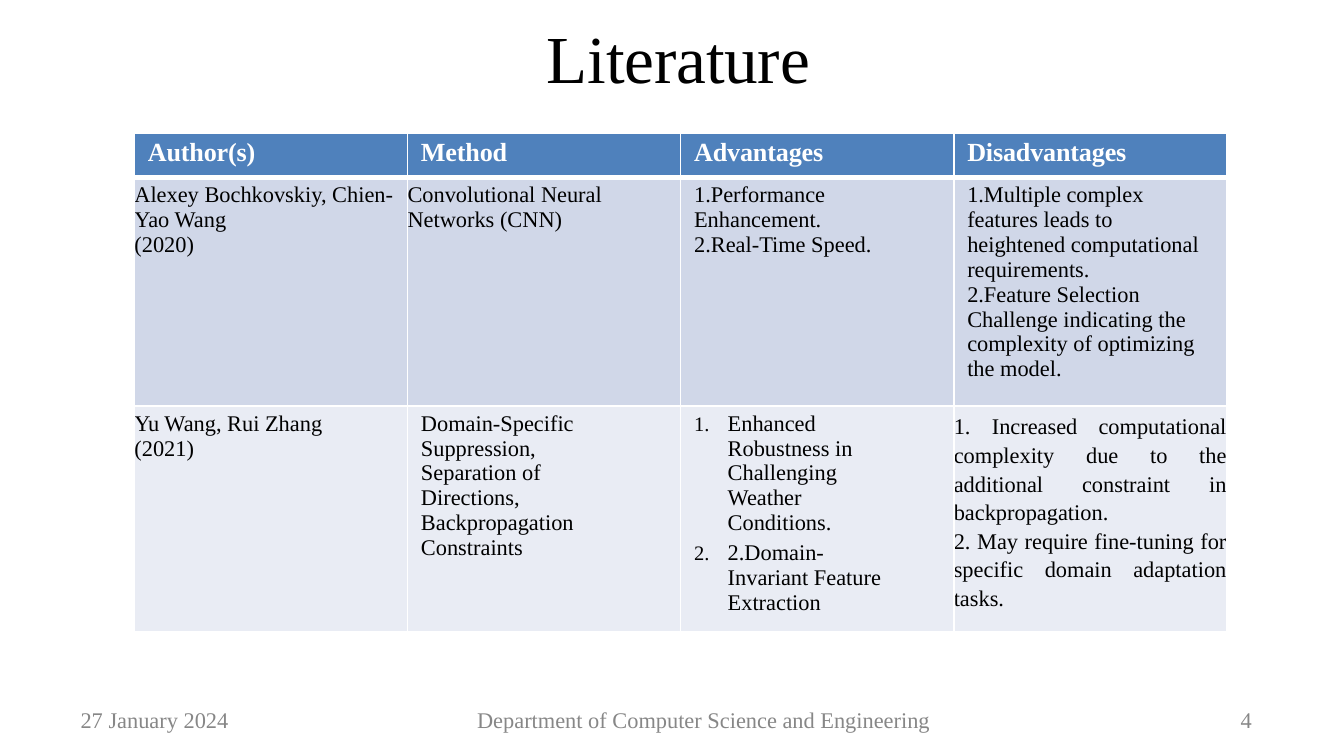
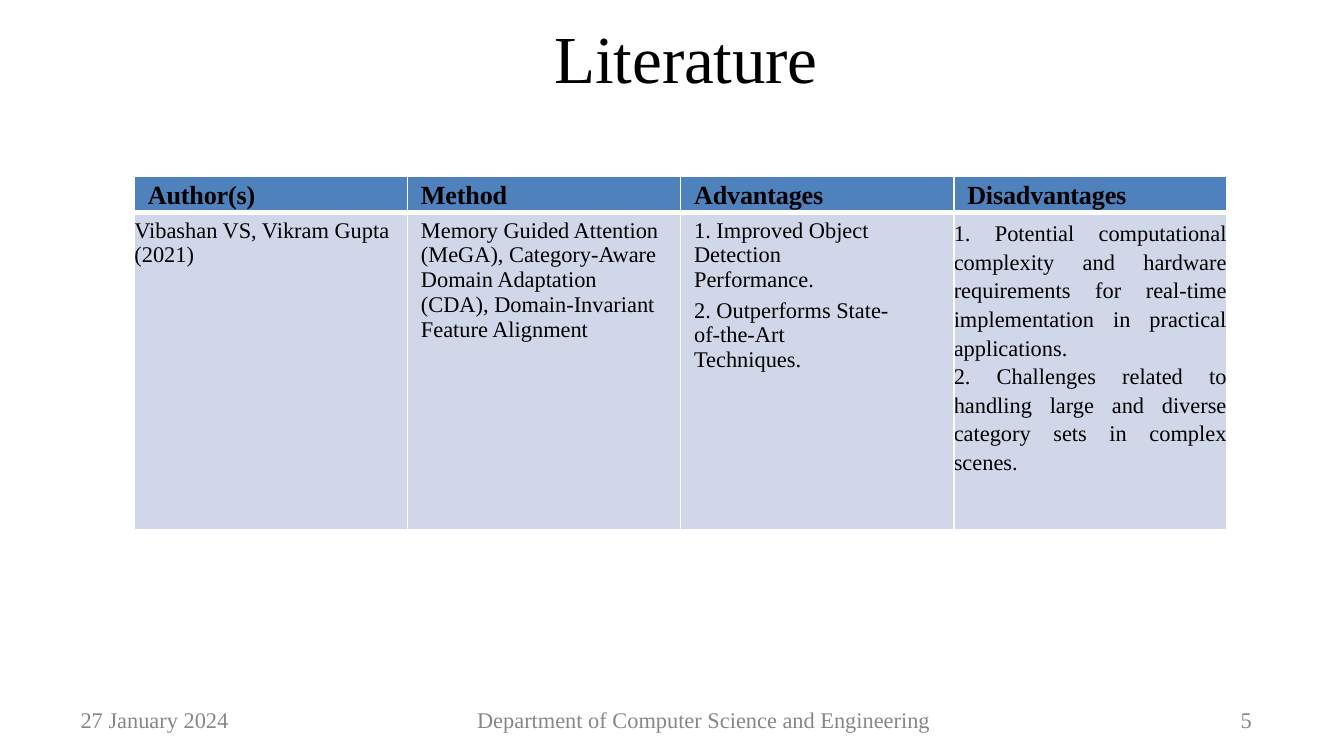
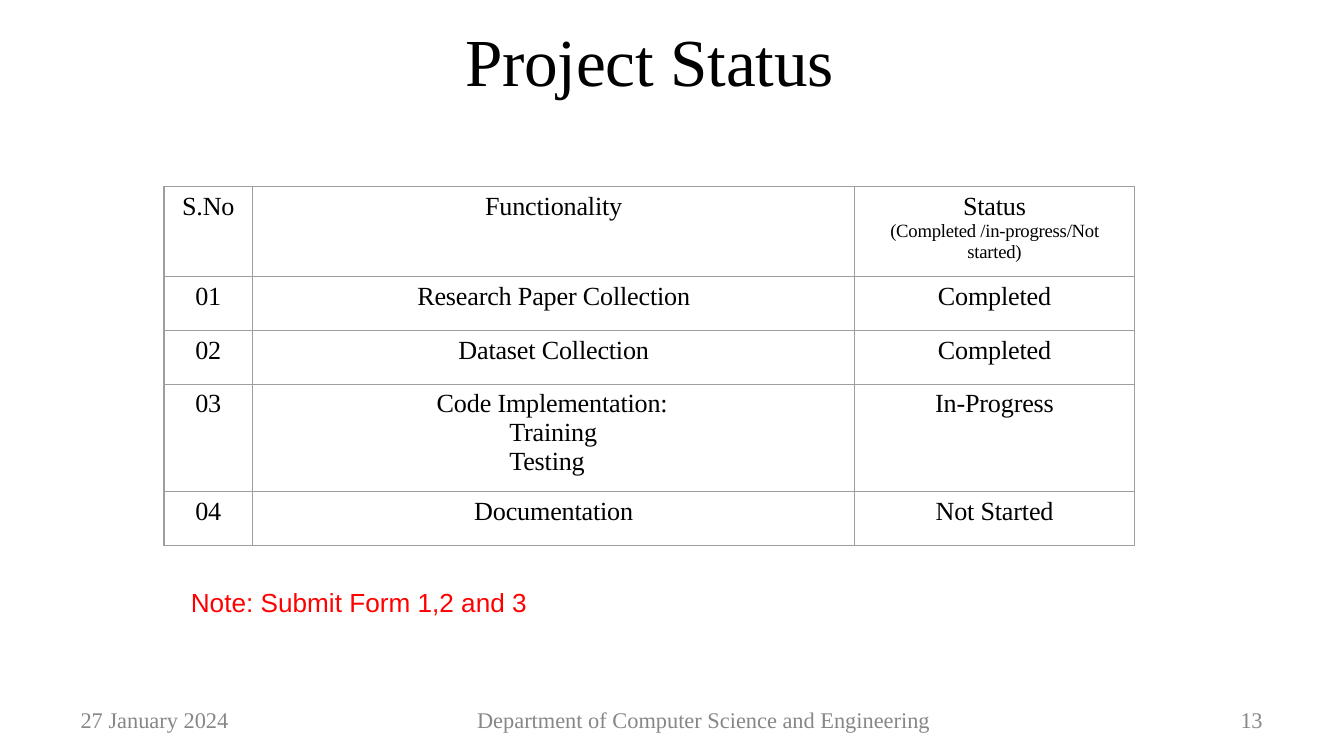
from lxml.etree import SubElement
from pptx import Presentation
from pptx.dml.color import RGBColor
from pptx.enum.text import PP_ALIGN as Align
from pptx.oxml.ns import qn
from pptx.util import Inches, Pt

COLORS = {
    "black": "000000",
    "white": "FFFFFF",
    "footer": "878787",
    "header": "4F81BC",
    "odd_row": "D0D7E8",
    "even_row": "E9ECF4",
    "grid": "9E9E9E",
    "note": "FF0000",
}
SERIF = "Times New Roman"


def write(frame, lines, size, color="black", font=SERIF, bold=False, align=None,
          left=0, first=0, before=0, spacing=None, numbered=False, tracking=0):
    frame.word_wrap = True
    frame.text = "\n".join(lines)
    for para in frame.paragraphs:
        para.alignment = align
        para.space_before = Pt(before)
        if spacing:
            para.line_spacing = spacing
        properties = para._p.get_or_add_pPr()
        properties.set("marL", str(Inches(left)))
        properties.set("indent", str(Inches(first)))
        if numbered:
            SubElement(properties, qn("a:buSzPct"), val="92000")
            SubElement(properties, qn("a:buFont"), typeface=SERIF)
            SubElement(properties, qn("a:buAutoNum"), type="arabicPeriod")
        for span in para.runs:
            span.font.size = Pt(size)
            span.font.name = font
            span.font.bold = bold
            span.font.color.rgb = RGBColor.from_string(COLORS[color])
            span._r.get_or_add_rPr().set("spc", str(tracking))


def style_cell(cell, fill, line, left=1, right=1, top=1, bottom=1):
    cell.margin_left = cell.margin_right = cell.margin_bottom = 0
    cell.margin_top = Inches(0.04)
    properties = cell._tc.get_or_add_tcPr()
    for tag, width in (("a:lnL", left), ("a:lnR", right), ("a:lnT", top), ("a:lnB", bottom)):
        edge = SubElement(properties, qn(tag), w=str(Pt(width)))
        SubElement(SubElement(edge, qn("a:solidFill")), qn("a:srgbClr"), val=COLORS[line])
    if fill:
        cell.fill.solid()
        cell.fill.fore_color.rgb = RGBColor.from_string(COLORS[fill])
    else:
        cell.fill.background()


deck = Presentation()
deck.slide_width = Inches(10)
deck.slide_height = Inches(10 * 9 / 16)

titles = [
    ("Literature", 4, (2.13, 0, 5.1, 0.79), 0.12, {"left": 1.94}),
    ("Literature", 5, (3.54, 0.11, 3.12, 0.63), 0.01, {"align": Align.CENTER, "left": 0.01}),
    ("Project Status", 13, (2.13, 0, 5.29, 0.75), 0.14, {"left": 1.33}),
]
pages = []
for title, number, place, inset, style in titles:
    page = deck.slides.add_slide(deck.slide_layouts[6])
    pages.append(page)
    footer = {"size": 12, "color": "footer", "spacing": Pt(14.1)}
    texts = [
        (title, place, inset, {"size": 36, "before": 1, "tracking": -10, **style}),
        ("27 January 2024", (0.59, 5.26, 1.17, 0.21), 0, {"left": 0.01, **footer}),
        ("Department of Computer Science and Engineering", (3.54, 5.26, 3.41, 0.21), 0,
         {"left": 0.01, **footer}),
        (str(number), (9.19, 5.26, 0.26, 0.21), 0, {"left": 0.04, "tracking": -20, **footer}),
    ]
    for text, place, inset, style in texts:
        box = page.shapes.add_textbox(*map(Inches, place))
        frame = box.text_frame
        frame.margin_left = frame.margin_right = frame.margin_bottom = 0
        frame.margin_top = Inches(inset)
        write(frame, [text], **style)

plain = {}
indented = {"left": 0.1}
spaced = {"left": 0.1, "before": 2.9}
numbered = {"left": 0.35, "first": -0.25, "before": 2.9, "numbered": True}
justified = {"align": Align.JUSTIFY, "spacing": 1.15}

headings = ["Author(s)", "Method", "Advantages", "Disadvantages"]
first_papers = [
    [
        (["Alexey Bochkovskiy, Chien-Yao Wang", "(2020)"], 0, plain),
        (["Convolutional Neural Networks (CNN)"], 0.1, plain),
        (["1.Performance Enhancement.", "2.Real-Time Speed."], 0.1, indented),
        (["1.Multiple complex features leads to heightened computational requirements.",
          "2.Feature Selection Challenge indicating the complexity of optimizing the model."],
         0.18, indented),
    ],
    [
        (["Yu Wang, Rui Zhang", "(2021)"], 0, plain),
        (["Domain-Specific Suppression, Separation of Directions, Backpropagation Constraints"],
         0.5, spaced),
        (["Enhanced Robustness in Challenging Weather Conditions.",
          "2.Domain-Invariant Feature Extraction"], 0.45, numbered),
        (["1. Increased computational complexity due to the additional constraint in "
          "backpropagation.",
          "2. May require fine-tuning for specific domain adaptation tasks."], 0, justified),
    ],
]
second_papers = [
    [
        (["Vibashan VS, Vikram Gupta", "(2021)"], 0, plain),
        (["Memory Guided Attention (MeGA), Category-Aware Domain Adaptation (CDA), "
          "Domain-Invariant Feature Alignment"], 0.13, spaced),
        (["1. Improved Object Detection Performance.",
          "2. Outperforms State-of-the-Art Techniques."], 0.45, spaced),
        (["1. Potential computational complexity and hardware requirements for real-time "
          "implementation in practical applications.",
          "2. Challenges related to handling large and diverse category sets in complex scenes."],
         0, justified),
    ],
]
literature = [
    (pages[0], 0.99, "white", [0.33, 1.7, 1.68], first_papers),
    (pages[1], 1.31, "black", [0.27, 2.36], second_papers),
]
for page, top, heading_color, heights, papers in literature:
    table = page.shapes.add_table(len(heights), len(headings), Inches(1), Inches(top),
                                  Inches(8.13), Inches(sum(heights))).table
    table.first_row = table.horz_banding = False
    for row, height in zip(table.rows, heights):
        row.height = Inches(height)
    for column, heading in enumerate(headings):
        cell = table.cell(0, column)
        style_cell(cell, "header", "white", bottom=3)
        write(cell.text_frame, [heading], 14, heading_color, bold=True, left=0.1, before=2.8,
              tracking=-10)
    for row, paper in enumerate(papers, 1):
        for column, (lines, right, style) in enumerate(paper):
            cell = table.cell(row, column)
            style_cell(cell, "odd_row" if row % 2 else "even_row", "white",
                       top=3 if row == 1 else 1)
            cell.margin_right = Inches(right)
            write(cell.text_frame, lines, 12, **style)

status_rows = [
    (0.67, ["S.No", "Functionality", "Status\n(Completed /in-progress/Not started)"]),
    (0.4, ["01", "Research Paper Collection", "Completed"]),
    (0.4, ["02", "Dataset Collection", "Completed"]),
    (0.8, ["03", "Code Implementation: Training Testing", "In-Progress"]),
    (0.4, ["04", "Documentation", "Not Started"]),
]
status = pages[2].shapes.add_table(len(status_rows), 3, Inches(1.22), Inches(1.39),
                                   Inches(7.22), Inches(2.67)).table
status.first_row = status.horz_banding = False
for column, width in zip(status.columns, (0.66, 4.48, 2.08)):
    column.width = Inches(width)
for row, (height, texts) in enumerate(status_rows):
    status.rows[row].height = Inches(height)
    for column, text in enumerate(texts):
        cell = status.cell(row, column)
        style_cell(cell, None, "grid", 0.75, 0.75, 0.75, 0.75)
        style = {"align": Align.CENTER}
        if text.startswith("Code"):
            style = {"left": 1.91, "first": -0.54}
            cell.margin_right = Inches(1.34)
        write(cell.text_frame, text.split("\n"), 14, before=2.8, tracking=-10, **style)

status_heading = status.cell(0, 2)
status_heading.margin_left = status_heading.margin_right = Inches(0.24)
legend = status_heading.text_frame.paragraphs[1]
legend.space_before = Pt(0.2)
legend.runs[0].font.size = Pt(10)

note = pages[2].shapes.add_textbox(Inches(1.41), Inches(4.35), Inches(2.58), Inches(0.26))
note_frame = note.text_frame
note_frame.margin_left = note_frame.margin_right = note_frame.margin_bottom = 0
note_frame.margin_top = Inches(0.01)
write(note_frame, ["Note: Submit Form 1,2 and 3"], 14, "note", "Arial", left=0.01, before=1.1)

deck.save("out.pptx")
